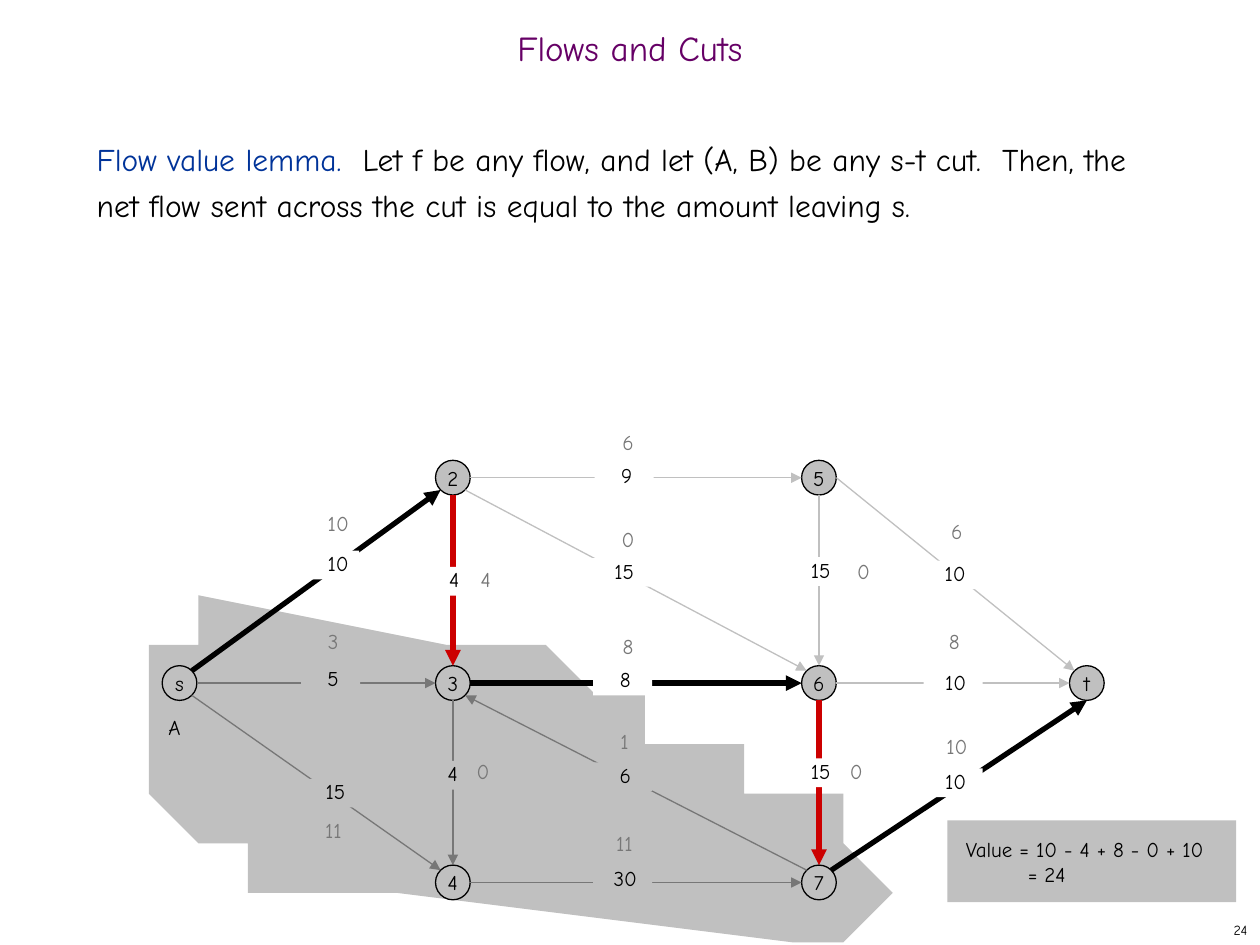
"""Build the "Flows and Cuts" slide with its flow network and cut."""
from lxml import etree
from pptx import Presentation
from pptx.dml.color import RGBColor
from pptx.enum.shapes import MSO_CONNECTOR, MSO_SHAPE
from pptx.enum.text import MSO_ANCHOR, PP_ALIGN
from pptx.oxml.ns import qn
from pptx.util import Cm, Pt

OVAL, RECTANGLE = MSO_SHAPE.OVAL, MSO_SHAPE.RECTANGLE
STRAIGHT = MSO_CONNECTOR.STRAIGHT
TOP, MIDDLE = MSO_ANCHOR.TOP, MSO_ANCHOR.MIDDLE
LEFT, CENTER, RIGHT = PP_ALIGN.LEFT, PP_ALIGN.CENTER, PP_ALIGN.RIGHT

BLACK = RGBColor(0x00, 0x00, 0x00)
WHITE = RGBColor(0xFF, 0xFF, 0xFF)
SILVER = RGBColor(0xC0, 0xC0, 0xC0)
GRAY = RGBColor(0x77, 0x77, 0x77)
RED = RGBColor(0xCC, 0x00, 0x00)
BLUE = RGBColor(0x00, 0x33, 0x99)
PURPLE = RGBColor(0x66, 0x00, 0x66)

FONT = "Comic Neue"
NODE_SIZE = 0.7
CAPACITY_SIZE = (1.19, 0.58)
FLOW_SIZE = (0.94, 0.48)
PADDING = (0.25, 0.13, 0.25, 0.13)

TITLE = "Flows and Cuts"
LEMMA = [
    ("Flow value lemma.", BLUE),
    ("  Let f be any flow, and let (A, B) be any s-t cut.  Then, the net flow "
     "sent across the cut is equal to the amount leaving s.", BLACK),
]
VALUE_LINES = [("Value = 10 - 4 + 8 - 0 + 10", 0.12), ("= 24", 1.37)]

NODES = {
    "s": (3.62, 13.77), "2": (9.13, 9.63), "3": (9.13, 13.77), "4": (9.13, 17.79),
    "5": (16.51, 9.63), "6": (16.51, 13.77), "7": (16.51, 17.79), "t": (21.91, 13.77),
}
SIDES = {
    "N": (0, -1), "E": (1, 0), "S": (0, 1), "W": (-1, 0),
    "NE": (0.71, -0.71), "SE": (0.71, 0.71), "SW": (-0.71, 0.71), "NW": (-0.71, -0.71),
}
EDGE_STYLES = {
    "leaving": (BLACK, 3, WHITE),
    "entering": (RED, 3, WHITE),
    "inside": (GRAY, 0.75, SILVER),
    "outside": (SILVER, 0.75, WHITE),
}
EDGES = [
    ("s", "NE", "2", "SW", "leaving", "10", (6.05, 11.1), 0.34, "10", (6.35, 10.29)),
    ("s", "E", "3", "W", "inside", "5", (6.07, 13.41), 0.1, "3", (6.25, 12.67)),
    ("s", "SE", "4", "NW", "inside", "15", (6.12, 15.7), 0.1, "11", (6.25, 16.48)),
    ("2", "S", "3", "N", "entering", "4", (8.51, 11.43), 0.1, "4", (9.32, 11.43)),
    ("2", "E", "5", "W", "outside", "9", (11.99, 9.32), 0.1, "6", (12.19, 8.66)),
    ("2", "SE", "6", "NW", "outside", "15", (11.94, 11.25), 0.1, "0", (12.19, 10.62)),
    ("3", "E", "6", "W", "leaving", "8", (11.96, 13.44), 0.1, "8", (12.19, 12.78)),
    ("3", "S", "4", "N", "inside", "4", (8.48, 15.34), 0.1, "0", (9.27, 15.29)),
    ("7", "NW", "3", "SE", "inside", "6", (11.96, 15.37), 0.1, "1", (12.12, 14.68)),
    ("4", "E", "7", "W", "inside", "30", (11.96, 17.45), 0.1, "11", (12.12, 16.74)),
    ("5", "S", "6", "N", "outside", "15", (15.9, 11.23), 0.1, "0", (16.94, 11.25)),
    ("6", "S", "7", "N", "entering", "15", (15.9, 15.29), 0.1, "0", (16.79, 15.29)),
    ("5", "E", "t", "NW", "outside", "10", (18.49, 11.3), 0.34, "6", (18.82, 10.46)),
    ("6", "E", "t", "W", "outside", "10", (18.62, 13.49), 0.1, "8", (18.77, 12.67)),
    ("7", "NE", "t", "S", "leaving", "10", (18.62, 15.49), 0.1, "10", (18.82, 14.78)),
]
CUT_OUTLINE = [
    (15.44, 15.77), (15.7, 16.03), (16.51, 16.43), (17.27, 16.92), (17.55, 17.53),
    (17.78, 17.7), (17.84, 18), (17.74, 18.28), (17.55, 18.43), (17.27, 18.53),
    (16.8, 18.58), (16.13, 18.57), (7.65, 18.34), (7.01, 18.24), (6.25, 17.96),
    (5.44, 17.6), (4.85, 17.27), (4.5, 16.99), (4.01, 16.81), (3.76, 16.69),
    (3.4, 16.26), (3.1, 15.6), (2.99, 15.1), (2.82, 14.66), (2.72, 14.2),
    (2.7, 13.85), (2.75, 13.54), (2.87, 13.26), (3.07, 13.06), (3.35, 12.85),
    (3.68, 12.7), (4.29, 12.47), (9.45, 12.62), (9.88, 12.72), (10.29, 12.88),
    (10.68, 13.09), (11.02, 13.36), (11.68, 14.02), (12.34, 14.4), (12.8, 14.48),
    (13.39, 14.58), (14.15, 14.91), (14.71, 15.09), (15.24, 15.42), (15.42, 15.7),
]


def paint(shape, fill, line=None):
    shape.shadow.inherit = False
    shape.fill.solid()
    shape.fill.fore_color.rgb = fill
    if line is None:
        shape.line.fill.background()
    else:
        shape.line.color.rgb = line
        shape.line.width = Pt(0.75)


def add_span(para, text, size, color):
    span = para.add_run()
    span.text = text
    span.font.name = FONT
    span.font.size = Pt(size)
    span.font.color.rgb = color


def set_frame(shape, anchor, margins, wrap):
    frame = shape.text_frame
    frame.word_wrap = wrap
    frame.vertical_anchor = anchor
    (frame.margin_left, frame.margin_top,
     frame.margin_right, frame.margin_bottom) = map(Cm, margins)
    return frame


def add_text(page, text, at, size=12, color=BLACK, fill=None, line=None, kind=RECTANGLE,
             align=CENTER, anchor=TOP, margins=(0, 0, 0, 0), wrap=True, spacing=None):
    if fill is None:
        box = page.shapes.add_textbox(*map(Cm, at))
    else:
        box = page.shapes.add_shape(kind, *map(Cm, at))
        paint(box, fill, line)
    para = set_frame(box, anchor, margins, wrap).paragraphs[0]
    para.alignment = align
    if spacing is not None:
        para.line_spacing = spacing
    spans = [(text, color)] if isinstance(text, str) else text
    for words, shade in spans:
        add_span(para, words, size, shade)
    return box


def add_cut(page):
    scale = Cm(1)
    builder = page.shapes.build_freeform(*CUT_OUTLINE[0], scale=scale)
    builder.add_line_segments(CUT_OUTLINE[1:], close=True)
    paint(builder.convert_to_shape(), SILVER)


def node_point(node, side):
    return [Cm(center + step * NODE_SIZE / 2)
            for center, step in zip(NODES[node], SIDES[side])]


def add_arrow(page, start, end, color, width):
    arrow = page.shapes.add_connector(STRAIGHT, *start, *end)
    arrow.line.color.rgb = color
    arrow.line.width = Pt(width)
    properties = arrow._element.spPr
    etree.SubElement(properties.find(qn("a:ln")), qn("a:tailEnd"), type="triangle")
    etree.SubElement(properties, qn("a:effectLst"))


def add_network(page):
    for name, (x, y) in NODES.items():
        corner = (x - NODE_SIZE / 2, y - NODE_SIZE / 2)
        add_text(page, name, (*corner, NODE_SIZE, NODE_SIZE), fill=SILVER, line=BLACK,
                 kind=OVAL, anchor=MIDDLE, wrap=False)
    for source, leave, target, enter, style, *_ in EDGES:
        color, width, _ = EDGE_STYLES[style]
        add_arrow(page, node_point(source, leave), node_point(target, enter), color, width)
    for *_, style, capacity, capacity_at, indent, flow, flow_at in EDGES:
        add_text(page, capacity, (*capacity_at, *CAPACITY_SIZE),
                 fill=EDGE_STYLES[style][2], margins=(indent, 0, 0, 0))
        add_text(page, flow, (*flow_at, *FLOW_SIZE), color=GRAY)


def add_value(page):
    box = page.shapes.add_shape(RECTANGLE, Cm(19.1), Cm(16.54), Cm(5.82), Cm(1.65))
    paint(box, SILVER)
    frame = set_frame(box, MIDDLE, (0.25, 0.25, 0.25, 0.25), True)
    for number, (text, indent) in enumerate(VALUE_LINES):
        para = frame.add_paragraph() if number else frame.paragraphs[0]
        para.alignment = LEFT
        para._p.get_or_add_pPr().set("marL", str(Cm(indent)))
        add_span(para, text, 12, BLACK)


def main():
    deck = Presentation()
    deck.slide_width, deck.slide_height = Cm(25.4), Cm(19.05)
    page = deck.slides.add_slide(deck.slide_layouts[6])
    add_text(page, "24", (20.12, 18.42, 5.28, 0.64), size=8, align=RIGHT,
             anchor=MIDDLE, margins=PADDING)
    add_cut(page)
    add_text(page, LEMMA, (1.7, 2.54, 21.8, 15.04), size=18, align=LEFT,
             margins=PADDING, spacing=Pt(26))
    add_text(page, TITLE, (0, 0.43, 25.4, 1.27), size=20, color=PURPLE,
             anchor=MIDDLE, margins=PADDING, spacing=0.7)
    add_network(page)
    add_value(page)
    add_text(page, "A", (3.38, 14.4, 0.28, 0.58), wrap=False)
    deck.save("out.pptx")


if __name__ == "__main__":
    main()
